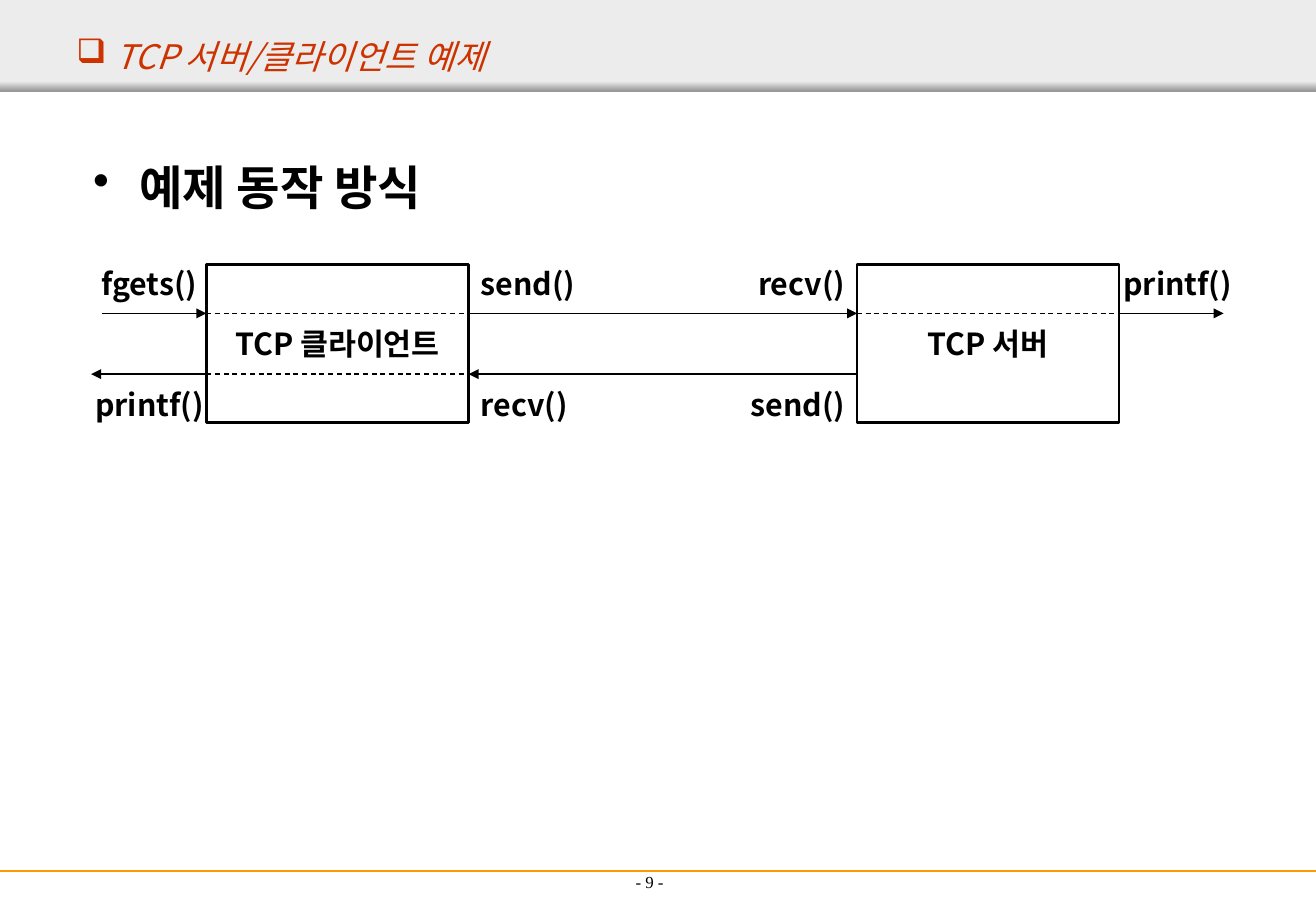
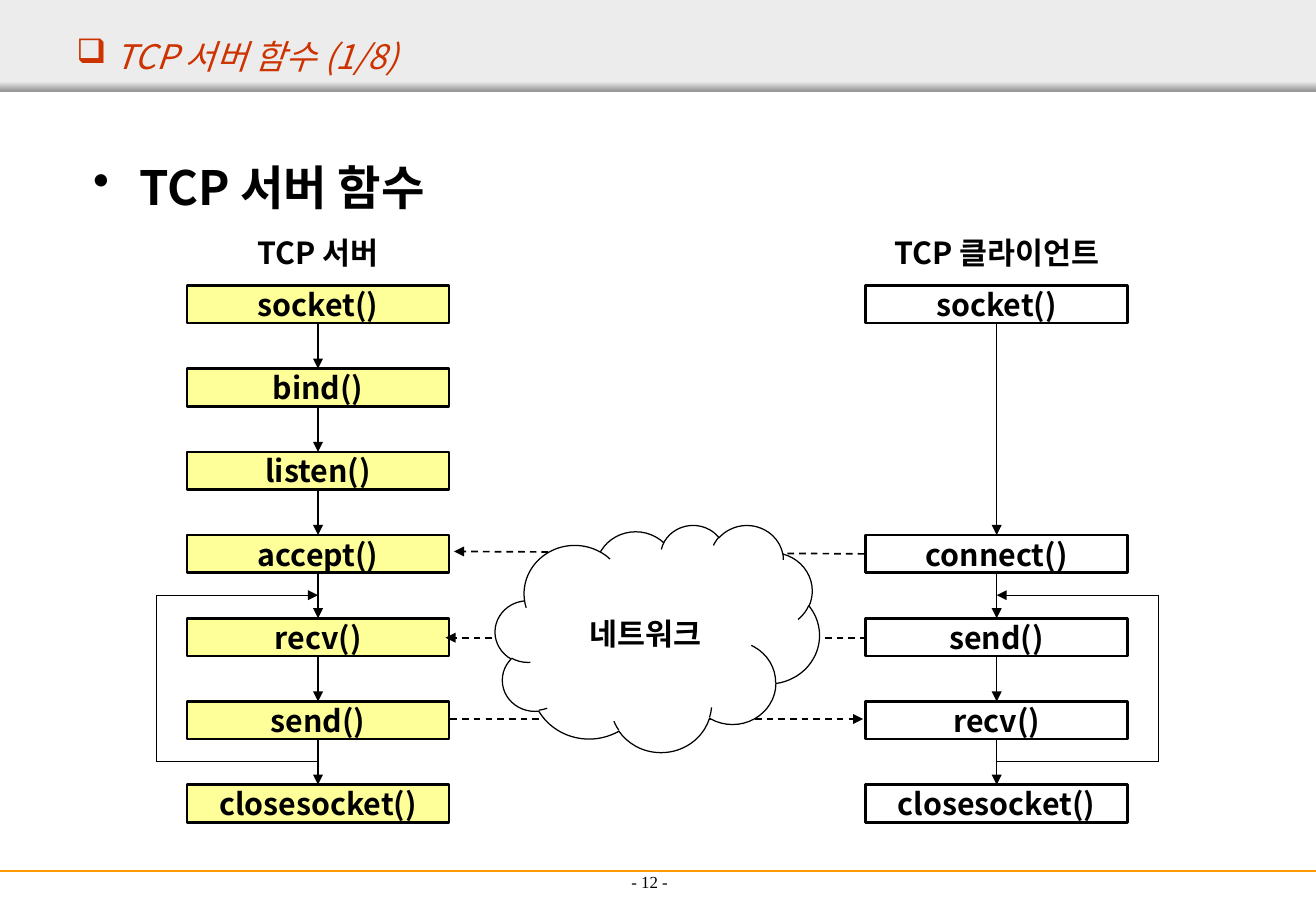
from itertools import pairwise
from lxml.etree import SubElement as Sub
from pptx import Presentation
from pptx.dml.color import RGBColor as Color
from pptx.enum.dml import MSO_LINE as Dash
from pptx.enum.shapes import MSO_CONNECTOR as Link, MSO_SHAPE as Shape
from pptx.enum.text import MSO_ANCHOR as Anchor, PP_ALIGN as Align
from pptx.oxml.ns import qn
from pptx.util import Inches, Pt

HUES = {
    "ink": "000000",
    "paper": "FFFFFF",
    "band": "ECECEC",
    "shade": "979797",
    "rule": "FF9900",
    "title": "CC3300",
    "server": "FFFF99",
}
SANS = "Noto Sans CJK KR"
SERIF = "Times New Roman"
WIDE, HIGH = 10.84, 7.5


def hue(name):
    return Color.from_string(HUES[name])


class Deck:
    def __init__(self):
        self.show = Presentation()
        self.show.slide_width = Inches(WIDE)
        self.show.slide_height = Inches(HIGH)
        self.slide = None

    def begin(self, title, head, page):
        self.slide = self.show.slides.add_slide(self.show.slide_layouts[6])
        self.box(0, 0, WIDE, 0.75, "band")
        edge = self.box(0, 0.67, WIDE, 0.08, "band")
        edge.fill.gradient()
        edge.fill.gradient_angle = 270
        for stop, name in zip(edge.fill.gradient_stops, ("band", "shade")):
            stop.color.rgb = hue(name)
        self.line((0, 7.17), (WIDE, 7.17), "rule", 1.5)
        self.text(f"- {page} -", 3.69, 6.89, 3.32, 0.5, size=10, bold=False,
                  face=SERIF, anchor=Anchor.BOTTOM)
        top = self.text(title, 0.53, 0.25, 10.31, 0.42, Align.LEFT, size=20,
                        bold=False, tint="title")
        top.runs[0].font.italic = True
        self.mark(top, "❑", 0.32, "title")
        body = self.text(head, 0.67, 1.25, 9.5, 5.44, Align.LEFT, size=28,
                         anchor=Anchor.TOP)
        body.space_before = Pt(7)
        self.mark(body, "•", 0.38, "ink")

    def mark(self, para, sign, dent, tint):
        props = para._p.get_or_add_pPr()
        props.set("marL", str(Inches(dent)))
        props.set("indent", str(-Inches(dent)))
        Sub(Sub(props, qn("a:buClr")), qn("a:srgbClr"), val=HUES[tint])
        Sub(props, qn("a:buChar"), char=sign)

    def style(self, frame, words, align=Align.CENTER, size=18, bold=True,
              face=SANS, tint="ink", anchor=Anchor.MIDDLE):
        frame.text = words
        frame.word_wrap = True
        frame.vertical_anchor = anchor
        para = frame.paragraphs[0]
        para.alignment = align
        font = para.runs[0].font
        font.size, font.bold, font.name = Pt(size), bold, face
        font.color.rgb = hue(tint)
        Sub(para.runs[0]._r.get_or_add_rPr(), qn("a:ea"), typeface=face)
        return para

    def text(self, words, x, y, wide, high, *args, **looks):
        box = self.slide.shapes.add_textbox(
            Inches(x), Inches(y), Inches(wide), Inches(high))
        return self.style(box.text_frame, words, *args, **looks)

    def box(self, x, y, wide, high, fill=None, words="", edge=0,
            kind=Shape.RECTANGLE):
        shape = self.slide.shapes.add_shape(
            kind, Inches(x), Inches(y), Inches(wide), Inches(high))
        shape.shadow.inherit = False
        if fill:
            shape.fill.solid()
            shape.fill.fore_color.rgb = hue(fill)
        else:
            shape.fill.background()
        if edge:
            shape.line.color.rgb = hue("ink")
            shape.line.width = Pt(edge)
        else:
            shape.line.fill.background()
        if words:
            self.style(shape.text_frame, words)
        return shape

    def line(self, start, end, tint="ink", width=0.75, dash=False, tip=False):
        link = self.slide.shapes.add_connector(
            Link.STRAIGHT, *(Inches(n) for n in (*start, *end)))
        link.line.color.rgb = hue(tint)
        link.line.width = Pt(width)
        if dash:
            link.line.dash_style = Dash.DASH
        props = link._element.spPr
        if tip:
            Sub(props.find(qn("a:ln")), qn("a:tailEnd"), type="triangle")
        Sub(props, qn("a:effectLst"))

    def arrow(self, start, end, **looks):
        self.line(start, end, tip=True, **looks)

    def stack(self, x, side, head, calls, fill=None):
        wide, high, step = 2.16, 0.31, 0.685
        mid = x + wide / 2
        self.text(head, x, 1.92, wide, high)
        tops = [2.35 + step * row for row in calls]
        for top, name in zip(tops, calls.values()):
            self.box(x, top, wide, high, fill, name, 1.5)
        for top, below in pairwise(tops):
            self.arrow((mid, top + high), (mid, below))
        loop = [(mid, 6.27), (side, 6.27), (side, 4.9), (mid, 4.9)]
        for spot, (start, end) in enumerate(pairwise(loop)):
            self.line(start, end, tip=spot == 2)


def draw_flow(deck):
    deck.begin("TCP 서버/클라이언트 예제", "예제 동작 방식", 9)
    wide, left, right = 2.16, 1.7, 7.06
    send, back = 2.58, 3.08
    for x, name in ((left, "TCP 클라이언트"), (right, "TCP 서버")):
        deck.box(x, 2.18, wide, 1.3, words=name, edge=1.5)
    for start, end, y in (
        (0.84, left, send), (left + wide, right, send),
        (right + wide, 10.08, send),
        (left, 0.75, back), (right, left + wide, back),
    ):
        deck.arrow((start, y), (end, y))
    for x, y in ((left, send), (left, back), (right, send)):
        deck.line((x, y), (x + wide, y), dash=True)
    for words, x, y, align in (
        ("fgets()", 0.54, send - 0.5, Align.CENTER),
        ("send()", 3.86, send - 0.5, Align.LEFT),
        ("recv()", 5.68, send - 0.5, Align.RIGHT),
        ("printf()", 9.01, send - 0.5, Align.CENTER),
        ("printf()", 0.54, back, Align.CENTER),
        ("recv()", 3.86, back, Align.LEFT),
        ("send()", 5.68, back, Align.RIGHT),
    ):
        deck.text(words, x, y, 1.38, 0.5, align)


def draw_calls(deck):
    deck.begin("TCP 서버 함수 (1/8)", "TCP 서버 함수", 12)
    server = ("socket()", "bind()", "listen()", "accept()", "recv()",
              "send()", "closesocket()")
    client = {0: "socket()", 3: "connect()", 4: "send()", 5: "recv()",
              6: "closesocket()"}
    deck.stack(1.54, 1.29, "TCP 서버", dict(enumerate(server)), "server")
    deck.stack(7.13, 9.54, "TCP 클라이언트", client)
    for start, end in (
        ((7.12, 4.56), (3.74, 4.54)),
        ((7.14, 5.25), (3.67, 5.25)),
        ((3.71, 5.92), (7.11, 5.92)),
    ):
        deck.arrow(start, end, width=1, dash=True)
    deck.box(4.08, 4.32, 2.67, 1.87, "paper", "네트워크", 0.75, Shape.CLOUD)


def main():
    deck = Deck()
    draw_flow(deck)
    draw_calls(deck)
    deck.show.save("out.pptx")


if __name__ == "__main__":
    main()
